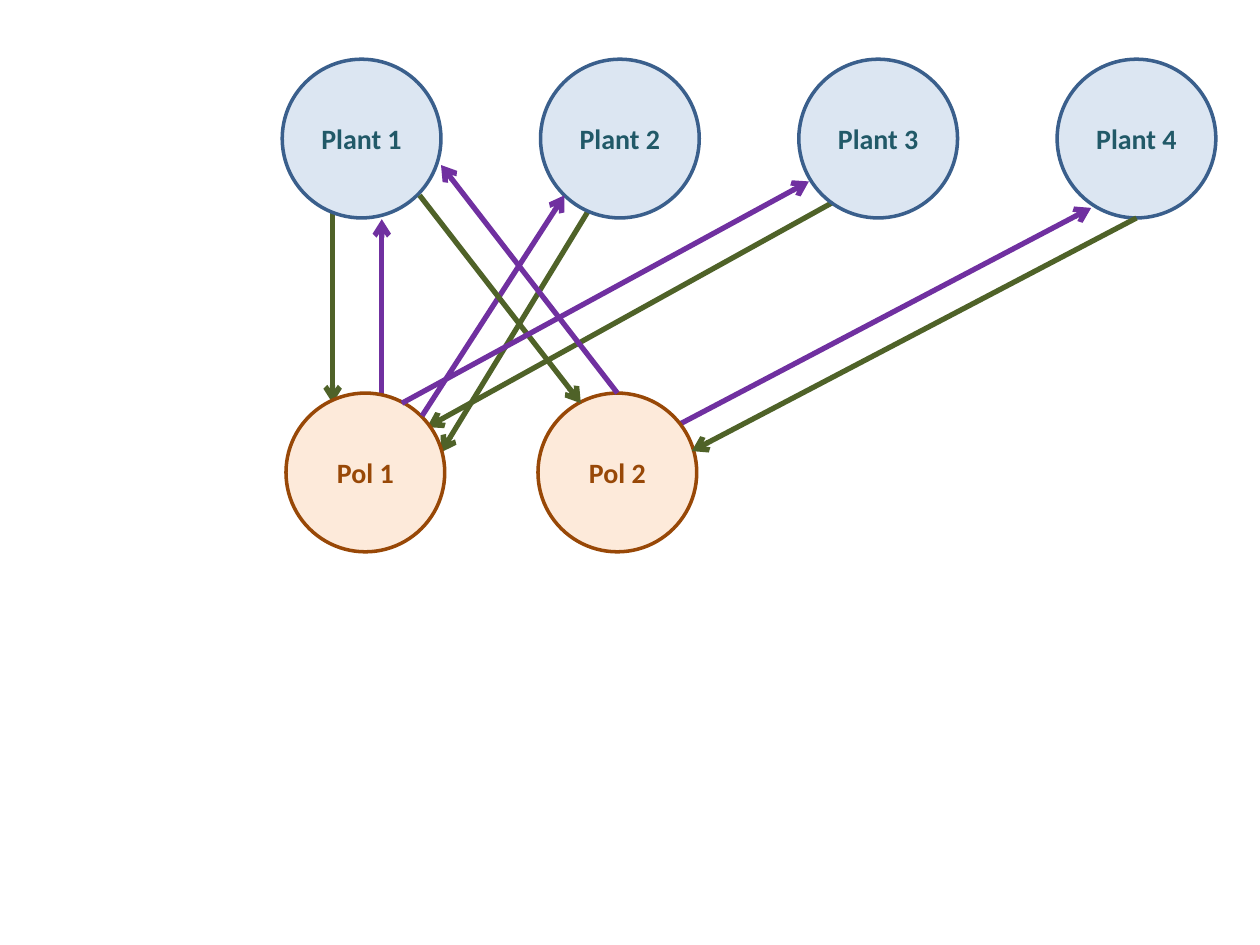
from lxml.etree import SubElement
from pptx import Presentation
from pptx.dml.color import RGBColor as RGB
from pptx.enum.shapes import MSO_CONNECTOR as CONN, MSO_SHAPE as SHAPE
from pptx.enum.text import MSO_ANCHOR as ANCHOR, PP_ALIGN as ALIGN
from pptx.oxml.ns import qn
from pptx.util import Pt

PX = 9144  # EMU per px, 100 px to the inch
COLORS = {
    "plant_fill": "DCE6F2", "plant_line": "3A5F8C", "plant_text": "215968",
    "pol_fill": "FDEADA", "pol_line": "984807", "pol_text": "984807",
    "to_pol": "4F6228", "to_plant": "7030A0",
}
FONT = {"name": "Calibri", "size": Pt(16), "bold": True}
DIAMETER = 126


def px(n):
    return round(n * PX)


def color(key):
    return RGB.from_string(COLORS[key])


class Diagram:
    def __init__(self, slide):
        self.s = slide

    def circle(self, kind, label, x, y):
        sp = self.s.shapes.add_shape(SHAPE.OVAL, px(x), px(y), px(DIAMETER), px(DIAMETER))
        sp.shadow.inherit = False
        sp.fill.solid()
        sp.fill.fore_color.rgb = color(f"{kind}_fill")
        sp.line.color.rgb = color(f"{kind}_line")
        sp.line.width = Pt(2)
        tf = sp.text_frame
        tf.vertical_anchor = ANCHOR.MIDDLE
        p = tf.paragraphs[0]
        p.alignment = ALIGN.CENTER
        r = p.add_run()
        r.text = label
        for name, value in FONT.items():
            setattr(r.font, name, value)
        r.font.color.rgb = color(f"{kind}_text")

    def arrow(self, kind, x1, y1, x2, y2):
        c = self.s.shapes.add_connector(CONN.STRAIGHT, px(x1), px(y1), px(x2), px(y2))
        c.line.color.rgb = color(kind)
        c.line.width = Pt(3)
        SubElement(c.line._get_or_add_ln(), qn("a:tailEnd"), type="arrow")
        SubElement(c._element.spPr, qn("a:effectLst"))


def main():
    prs = Presentation()
    prs.slide_width, prs.slide_height = px(1000), px(750)
    d = Diagram(prs.slides.add_slide(prs.slide_layouts[6]))

    # Arrows behind the circles
    for link in [
        ("to_pol", 691, 144, 339, 339),    # Plant 3 to Pol 1
        ("to_plant", 533, 340, 866, 165),  # Pol 2 to Plant 4
        ("to_pol", 469, 164, 350, 359),    # Plant 2 to Pol 1
        ("to_plant", 303, 331, 303, 174),  # Pol 1 to Plant 1
        ("to_pol", 264, 162, 264, 320),    # Plant 1 to Pol 1
    ]:
        d.arrow(*link)

    # Rows of plants and pollinators
    for kind, name, count, left, top, step in [
        ("plant", "Plant", 4, 224, 47, 205),
        ("pol", "Pol", 2, 227, 312, 200),
    ]:
        for i in range(count):
            d.circle(kind, f"{name} {i + 1}", left + i * step, top)

    # Arrows in front of the circles
    for link in [
        ("to_plant", 335, 330, 448, 155),  # Pol 1 to Plant 2
        ("to_pol", 333, 155, 461, 320),    # Plant 1 to Pol 2
        ("to_plant", 490, 312, 350, 131),  # Pol 2 to Plant 1
        ("to_pol", 902, 173, 549, 358),    # Plant 4 to Pol 2
        ("to_plant", 319, 320, 642, 144),  # Pol 1 to Plant 3
    ]:
        d.arrow(*link)

    prs.save("out.pptx")


if __name__ == "__main__":
    main()
